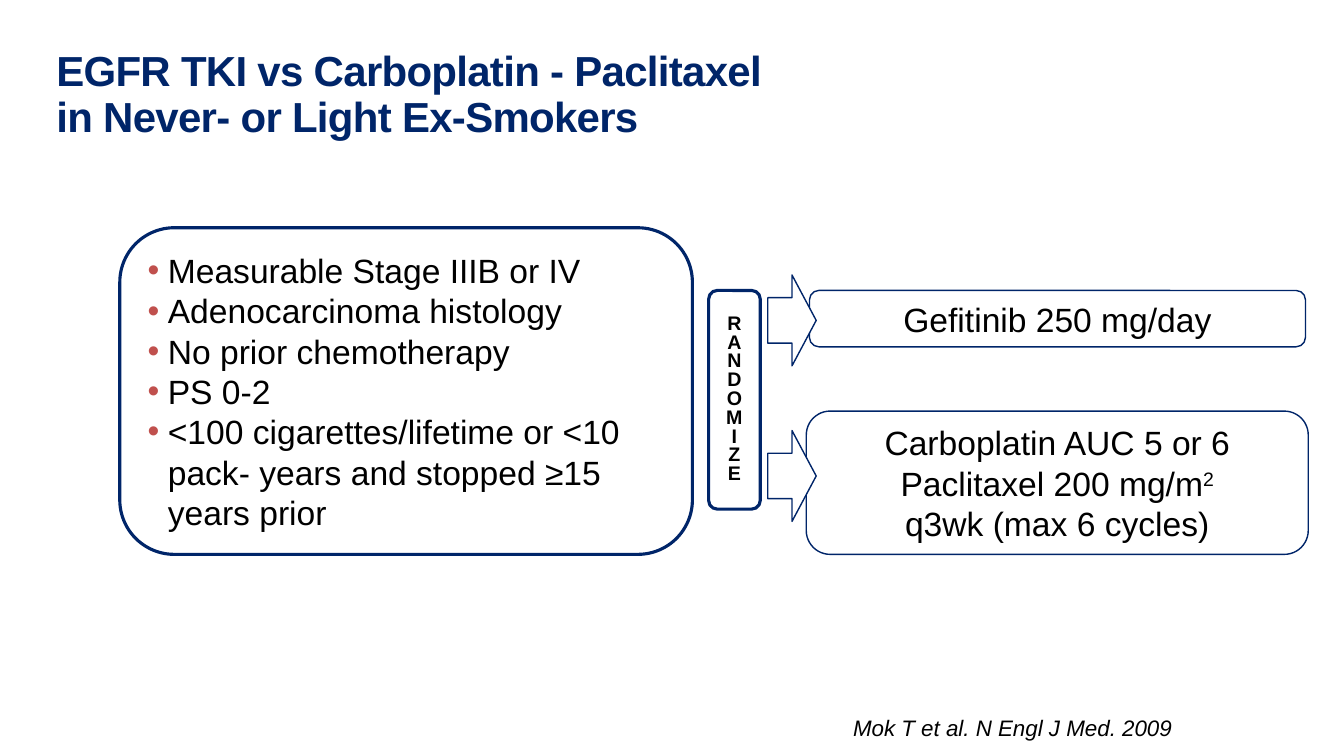
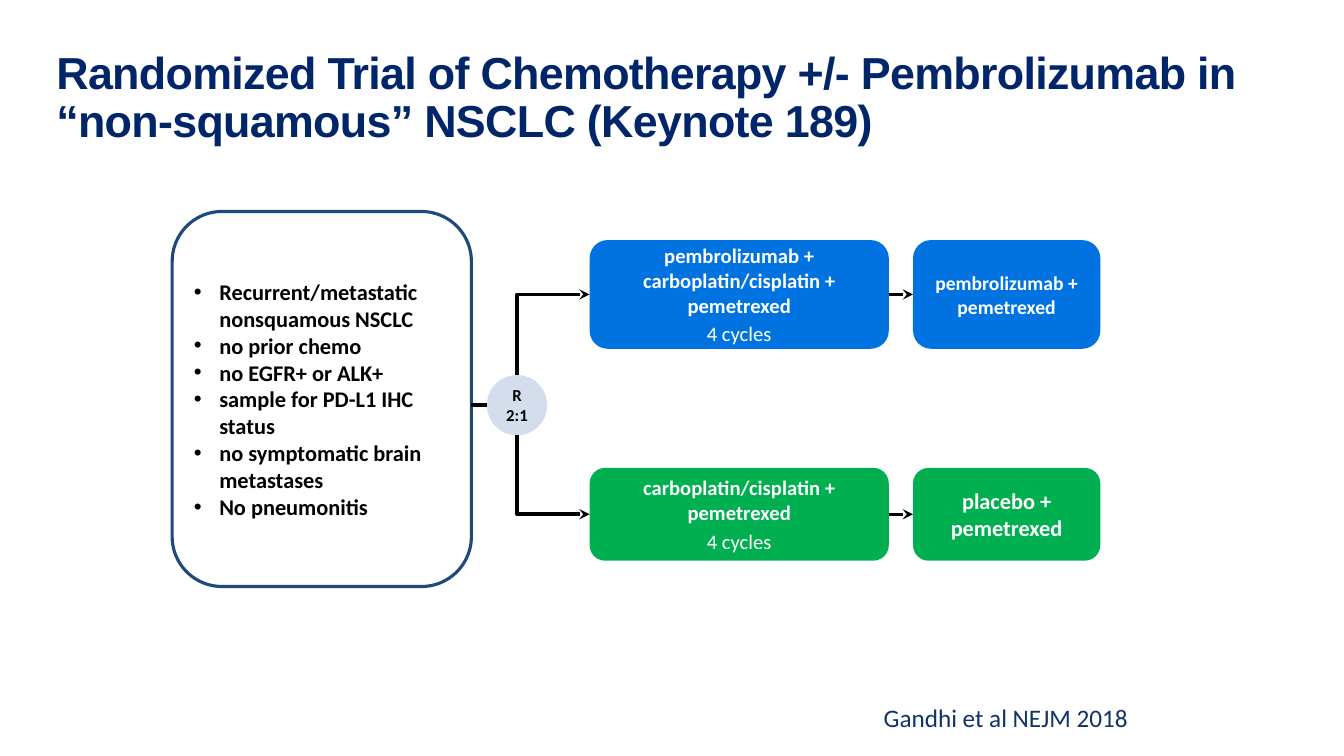
import pptx
import pptx.dml.color
import pptx.enum.shapes
import pptx.enum.text
import pptx.oxml
import pptx.oxml.ns
import pptx.util

Cm = pptx.util.Cm
Pt = pptx.util.Pt
RGBColor = pptx.dml.color.RGBColor
SHAPE = pptx.enum.shapes.MSO_SHAPE
CONNECTOR = pptx.enum.shapes.MSO_CONNECTOR
ALIGN = pptx.enum.text.PP_ALIGN
ANCHOR = pptx.enum.text.MSO_ANCHOR
qn = pptx.oxml.ns.qn

NAVY = RGBColor(0x00, 0x25, 0x69)
STEEL = RGBColor(0x1F, 0x49, 0x7D)
CITATION_BLUE = RGBColor(0x11, 0x34, 0x68)
BLUE = RGBColor(0x00, 0x73, 0xE0)
GREEN = RGBColor(0x00, 0xB0, 0x50)
PALE_BLUE = RGBColor(0xD4, 0xDD, 0xEC)
RED = RGBColor(0xC0, 0x50, 0x4D)
BLACK = RGBColor(0x00, 0x00, 0x00)
WHITE = RGBColor(0xFF, 0xFF, 0xFF)


def add_element(parent, tag, **attributes):
    """Append a drawing element with the given attributes and return it."""
    element = pptx.oxml.parse_xml(f"<{tag} {pptx.oxml.ns.nsdecls('a')}/>")
    for name, value in attributes.items():
        element.set(name, str(value))
    parent.append(element)
    return element


class TrialDeck:
    """Hold the deck style and the current slide, and draw its elements."""

    def __init__(self):
        """Start an empty widescreen presentation."""
        self.presentation = pptx.Presentation()
        self.presentation.slide_width = Cm(33.87)
        self.presentation.slide_height = Cm(19.05)
        self.slide = None
        self.font = "Arial"

    def start_slide(self, title, title_size, font):
        """Add a slide with its title and choose the font of its body."""
        layout = self.presentation.slide_layouts[5]
        self.slide = self.presentation.slides.add_slide(layout)
        shape = self.slide.shapes.title
        shape.left, shape.top, shape.width, shape.height = Cm(1.42), Cm(1.27), Cm(31.06), Cm(2.54)
        self.font = "Arial"
        self.set_text(shape, title, title_size, NAVY, bold=True, align=ALIGN.LEFT,
                      anchor=ANCHOR.TOP, insets=(0, 0), line_spacing=0.9)
        for run in shape.text_frame.paragraphs[0].runs:
            run.font._element.set("spc", "-50")
        self.font = font

    def set_text(self, shape, text, size, color=BLACK, bold=False, italic=False,
                 align=ALIGN.CENTER, anchor=ANCHOR.MIDDLE, insets=(0.25, 0.13),
                 line_spacing=None, wrap=True):
        """Fill a shape with text in one style."""
        frame = shape.text_frame
        frame.text = text
        frame.word_wrap = wrap
        frame.vertical_anchor = anchor
        frame.margin_left = frame.margin_right = Cm(insets[0])
        frame.margin_top = frame.margin_bottom = Cm(insets[1])
        for paragraph in frame.paragraphs:
            paragraph.alignment = align
            if line_spacing:
                paragraph.line_spacing = line_spacing
            for run in paragraph.runs:
                self.style_run(run, size, color, bold, italic)

    def style_run(self, run, size, color=BLACK, bold=False, italic=False):
        """Set the font of one run."""
        run.font.name = self.font
        run.font.size = Pt(size)
        run.font.color.rgb = color
        run.font.bold = bold
        run.font.italic = italic

    def add_citation(self, text, left, top, width, size, **style):
        """Add the source line at the foot of the slide."""
        shape = self.slide.shapes.add_textbox(Cm(left), Cm(top), Cm(width), Cm(1.02))
        self.set_text(shape, text, size, **style)

    def add_box(self, left, top, width, height, fill=None, line=None, line_width=1,
                kind=SHAPE.ROUNDED_RECTANGLE):
        """Add a flat preset shape."""
        shape = self.slide.shapes.add_shape(kind, Cm(left), Cm(top), Cm(width), Cm(height))
        shape.shadow.inherit = False
        if fill is None:
            shape.fill.background()
        else:
            shape.fill.solid()
            shape.fill.fore_color.rgb = fill
        if line is None:
            shape.line.fill.background()
        else:
            shape.line.color.rgb = line
            shape.line.width = Pt(line_width)
        return shape

    def add_bullets(self, shape, items, size, left_margin, hanging, bullet_color, **style):
        """Fill a shape with a bulleted list."""
        self.set_text(shape, "\n".join(items), size, align=ALIGN.LEFT, **style)
        for paragraph in shape.text_frame.paragraphs:
            properties = paragraph._p.get_or_add_pPr()
            properties.set("marL", str(Cm(left_margin)))
            properties.set("indent", str(-Cm(hanging)))
            add_element(add_element(properties, "a:buClr"), "a:srgbClr", val=bullet_color)
            add_element(properties, "a:buFont", typeface="Arial")
            add_element(properties, "a:buChar", char="•")

    def add_line(self, begin, end, arrow=None, elbow=False):
        """Add a black connector; arrow names the end that carries a head."""
        kind = CONNECTOR.ELBOW if elbow else CONNECTOR.STRAIGHT
        connector = self.slide.shapes.add_connector(
            kind, *(Cm(value) for value in (*begin, *end)))
        connector.line.color.rgb = BLACK
        connector.line.width = Pt(2.5)
        properties = connector._element.spPr
        if elbow:
            properties.find(qn("a:prstGeom")).set("prst", "bentConnector2")
        if arrow:
            add_element(properties.find(qn("a:ln")), f"a:{arrow}", type="stealth")
        add_element(properties, "a:effectLst")
        return connector


def build_gefitinib_slide(deck):
    """Draw the gefitinib trial scheme."""
    deck.start_slide("EGFR TKI vs Carboplatin - Paclitaxel\vin Never- or Light Ex-Smokers",
                     30, "Arial")
    deck.add_citation("Mok T et al. N Engl J Med. 2009", 20.32, 17.65, 9.22, 16, italic=True,
                      align=ALIGN.RIGHT, anchor=ANCHOR.BOTTOM, insets=(0, 0))

    criteria = deck.add_box(3.02, 5.74, 14.43, 8.23, line=NAVY, line_width=2.25)
    deck.add_bullets(criteria, [
        "Measurable Stage IIIB or IV",
        "Adenocarcinoma histology",
        "No prior chemotherapy",
        "PS 0-2",
        "<100 cigarettes/lifetime or <10 pack- years and stopped ≥15 years prior",
    ], 24, 0.81, 0.51, RED, insets=(0, 0.13))

    randomize = deck.add_box(17.86, 7.32, 1.3, 5.51, line=NAVY, line_width=2.25)
    deck.set_text(randomize, "\n".join("RANDOMIZE"), 14, bold=True, insets=(0.25, 0),
                  line_spacing=0.8, wrap=False)

    gefitinib = deck.add_box(20.4, 7.32, 12.5, 1.42, line=NAVY)
    deck.set_text(gefitinib, "Gefitinib 250 mg/day", 24, insets=(0, 0.13))
    chemotherapy = deck.add_box(20.32, 10.36, 12.65, 3.61, line=NAVY)
    deck.set_text(chemotherapy,
                  "Carboplatin AUC 5 or 6\nPaclitaxel 200 mg/m\nq3wk (max 6 cycles)", 24)
    exponent = chemotherapy.text_frame.paragraphs[1].add_run()
    exponent.text = "2"
    deck.style_run(exponent, 24)
    exponent.font._element.set("baseline", "30000")

    for top in (6.93, 10.85):
        deck.add_box(19.35, top, 1.22, 2.29, fill=WHITE, line=NAVY, kind=SHAPE.RIGHT_ARROW)


def build_pembrolizumab_slide(deck):
    """Draw the pembrolizumab trial scheme."""
    deck.start_slide("Randomized Trial of Chemotherapy +/- Pembrolizumab in\v"
                     "“non-squamous” NSCLC (Keynote 189)", 32, "Calibri")
    deck.add_citation("Gandhi et al NEJM 2018", 22.02, 17.58, 7.29, 18, color=CITATION_BLUE,
                      align=ALIGN.LEFT, anchor=ANCHOR.TOP)

    criteria = deck.add_box(4.34, 5.33, 7.54, 9.45, fill=WHITE, line=STEEL, line_width=2.25)
    deck.add_bullets(criteria, [
        "Recurrent/metastatic nonsquamous NSCLC",
        "no prior chemo",
        "no EGFR+ or ALK+",
        "sample for PD-L1 IHC status",
        "no symptomatic brain metastases",
        "No pneumonitis",
    ], 16, 0.64, 0.64, BLACK, bold=True, insets=(0.18, 0.13))

    circle_left, circle_top, diameter = 12.27, 9.45, 1.52
    center_x = circle_left + diameter / 2
    center_y = circle_top + diameter / 2
    circle = deck.add_box(circle_left, circle_top, diameter, diameter, fill=PALE_BLUE,
                          kind=SHAPE.OVAL)
    deck.set_text(circle, "R\v2:1", 12, bold=True, insets=(0, 0.13))
    deck.add_line((11.88, center_y), (circle_left, center_y))

    induction_left, induction_width, maintenance_left = 14.86, 7.54, 23.01
    arms = [
        (6.05, 2.74, BLUE, "pembrolizumab + carboplatin/cisplatin + pemetrexed",
         "pembrolizumab + pemetrexed", 14, circle_top),
        (11.79, 2.34, GREEN, "carboplatin/cisplatin + pemetrexed",
         "placebo + pemetrexed", 16, circle_top + diameter),
    ]
    for top, height, color, regimen, follow_up, size, circle_edge in arms:
        middle = top + height / 2
        induction = deck.add_box(induction_left, top, induction_width, height, fill=color)
        deck.set_text(induction, f"{regimen}\n4 cycles", 14.7, WHITE, bold=True)
        cycles = induction.text_frame.paragraphs[1]
        cycles.space_before = Pt(2.7)
        cycles.runs[0].font.bold = False

        maintenance = deck.add_box(maintenance_left, top, 4.72, height, fill=color)
        deck.set_text(maintenance, follow_up, size, WHITE, bold=True)

        deck.add_line((induction_left, middle), (center_x, circle_edge),
                      arrow="headEnd", elbow=True)
        link = deck.add_line((induction_left + induction_width, middle),
                             (maintenance_left, middle), arrow="tailEnd")
        link.begin_connect(induction, 3)
        link.end_connect(maintenance, 1)


def main():
    """Build and save the presentation."""
    deck = TrialDeck()
    build_gefitinib_slide(deck)
    build_pembrolizumab_slide(deck)
    deck.presentation.save("out.pptx")


if __name__ == "__main__":
    main()
